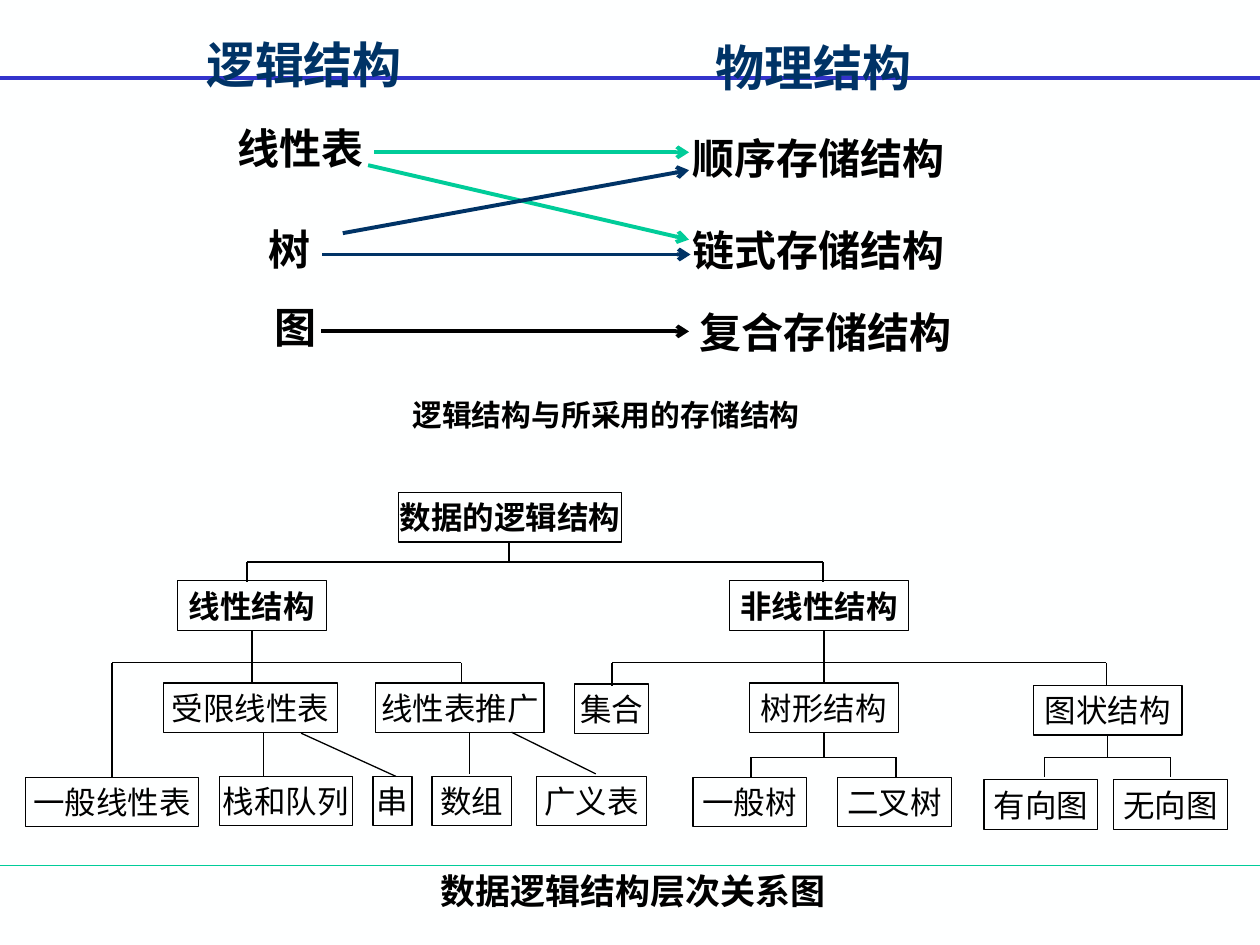
"""Build a slide on logical structures, storage structures and their hierarchy."""
from lxml.etree import SubElement as Sub
from pptx import Presentation
from pptx.dml.color import RGBColor as Rgb
from pptx.enum.shapes import MSO_CONNECTOR as Link, MSO_SHAPE as Form
from pptx.enum.text import MSO_ANCHOR as Anchor, MSO_AUTO_SIZE as Auto, PP_ALIGN as Align
from pptx.oxml.ns import qn
from pptx.util import Cm, Pt

HUES = {"paper": "FEFFFF", "ink": "000000", "navy": "003366", "teal": "00CC99", "blue": "3333CC"}
SERIF, SANS = "Times New Roman", "Noto Sans CJK SC"
WIDE, HIGH, BOX = 25.4, 19.05, 1.0

TITLE = ("数据逻辑结构层次关系图", 6.91, 17.32, 11.71, 1.27)
NOTE = ("逻辑结构与所采用的存储结构", 5.87, 7.87, 12.7, 1.07)
HEADS = [
    ("逻辑结构", 4.01, 0.66, 4.24, 1.27),
    ("物理结构", 14.4, 0.71, 4.01, 1.27),
]
TERMS = [
    ("线性表", 4.37, 2.44, 3.38, 1.07),
    ("树", 4.78, 4.47, 2.11, 1.07),
    ("图", 5.0, 6.05, 1.91, 1.07),
    ("顺序存储结构", 13.97, 2.54, 5.08, 1.27),
    ("链式存储结构", 13.97, 4.39, 5.08, 1.27),
    ("复合存储结构", 14.1, 6.05, 5.08, 1.27),
]
RULES = [("teal", 17.45, 0.75), ("blue", 1.57, 2.25)]
ARROWS = [
    ("teal", 7.54, 3.07, 13.89, 3.07),
    ("teal", 7.42, 3.33, 13.89, 4.83),
    ("navy", 6.91, 4.7, 13.89, 3.43),
    ("ink", 6.48, 6.68, 13.89, 6.68),
    ("navy", 6.5, 5.13, 13.92, 5.13),
]

ROOTS = [
    ("数据的逻辑结构", 8.03, 9.93, 4.5),
    ("线性结构", 3.58, 11.71, 3.0),
    ("非线性结构", 14.71, 11.71, 3.61),
]
LEAVES = [
    ("受限线性表", 3.3, 13.77, 3.5),
    ("线性表推广", 7.57, 13.77, 3.4),
    ("集合", 11.58, 13.79, 1.5),
    ("树形结构", 15.11, 13.77, 3.0),
    ("图状结构", 20.83, 13.82, 3.0),
    ("一般线性表", 0.51, 15.67, 3.5),
    ("栈和队列", 4.42, 15.65, 2.69),
    ("串", 7.52, 15.65, 0.79),
    ("数组", 8.71, 15.65, 1.6),
    ("广义表", 10.82, 15.65, 2.21),
    ("一般树", 13.97, 15.67, 2.29),
    ("二叉树", 16.89, 15.67, 2.29),
    ("有向图", 19.84, 15.72, 2.29),
    ("无向图", 22.45, 15.72, 2.29),
]
FORKS = [
    {"stem": (10.26, 10.93, 11.33), "bar": 11.33, "drops": {4.98: 11.73, 16.59: 11.73}},
    {"stem": (5.08, 12.73, 13.77), "bar": 13.36, "drops": {2.26: 15.67, 9.3: 13.77}},
    {"stem": (16.61, 12.73, 13.77), "bar": 13.36, "drops": {12.34: 13.82, 22.3: 13.82}},
    {"stem": (16.61, 14.78, 15.27), "bar": 15.27, "drops": {15.14: 15.67, 18.06: 15.67}},
    {"stem": (22.33, 14.83, 15.27), "bar": 15.27, "drops": {21.06: 15.67, 23.6: 15.67}},
]
TWIGS = [
    (5.31, 14.78, 5.31, 15.65),
    (6.07, 14.78, 7.98, 15.65),
    (9.47, 14.76, 9.47, 15.6),
    (10.31, 14.76, 12.01, 15.6),
]


def tint(name):
    return Rgb.from_string(HUES[name])


def line(slide, x1, y1, x2, y2, hue="ink", size=0.75, arrow=False):
    link = slide.shapes.add_connector(Link.STRAIGHT, Cm(x1), Cm(y1), Cm(x2), Cm(y2))
    link.line.color.rgb = tint(hue)
    link.line.width = Pt(size)
    if arrow:
        Sub(link.line._get_or_add_ln(), qn("a:tailEnd"), type="arrow")
    Sub(link._element.spPr, qn("a:effectLst"))


def write(shape, text, size, bold=True, hue="ink", face=SERIF, wrap=False):
    frame = shape.text_frame
    frame.text = text
    frame.word_wrap = wrap
    frame.auto_size = Auto.NONE
    frame.vertical_anchor = Anchor.MIDDLE
    para = frame.paragraphs[0]
    para.alignment = Align.CENTER
    font = para.runs[0].font
    font.size, font.bold, font.name = Pt(size), bold, face
    font.color.rgb = tint(hue)
    Sub(font._element, qn("a:ea"), typeface=SANS)
    return para


def label(slide, item, size, **style):
    text, *area = item
    shape = slide.shapes.add_textbox(*map(Cm, area))
    return write(shape, text, size, **style)


def node(slide, item, bold):
    text, *area = item
    shape = slide.shapes.add_shape(Form.RECTANGLE, *map(Cm, area), Cm(BOX))
    shape.shadow.inherit = False
    shape.fill.background()
    shape.line.color.rgb = tint("ink")
    shape.line.width = Pt(0.75)
    write(shape, text, 18, bold)


def fork(slide, stem, bar, drops):
    x, top, end = stem
    line(slide, x, top, x, end)
    line(slide, min(drops), bar, max(drops), bar)
    for x, end in drops.items():
        line(slide, x, bar, x, end)


def main():
    deck = Presentation()
    deck.slide_width, deck.slide_height = Cm(WIDE), Cm(HIGH)
    slide = deck.slides.add_slide(deck.slide_layouts[5])
    fill = slide.background.fill
    fill.solid()
    fill.fore_color.rgb = tint("paper")

    for hue, y, size in RULES:
        line(slide, 0, y, WIDE, y, hue, size)
    for item in ROOTS:
        node(slide, item, True)
    for item in LEAVES:
        node(slide, item, False)
    for item in FORKS:
        fork(slide, **item)
    for ends in TWIGS:
        line(slide, *ends)

    title = slide.shapes.title
    text, *area = TITLE
    title.left, title.top, title.width, title.height = map(Cm, area)
    write(title, text, 20, face=SANS, wrap=True)
    label(slide, NOTE, 17, face=SANS, wrap=True).line_spacing = 0.9
    for item in TERMS:
        label(slide, item, 24)
    for item in HEADS:
        label(slide, item, 28, hue="navy")
    for hue, *ends in ARROWS:
        line(slide, *ends, hue, 2.25, True)
    deck.save("out.pptx")


if __name__ == "__main__":
    main()
